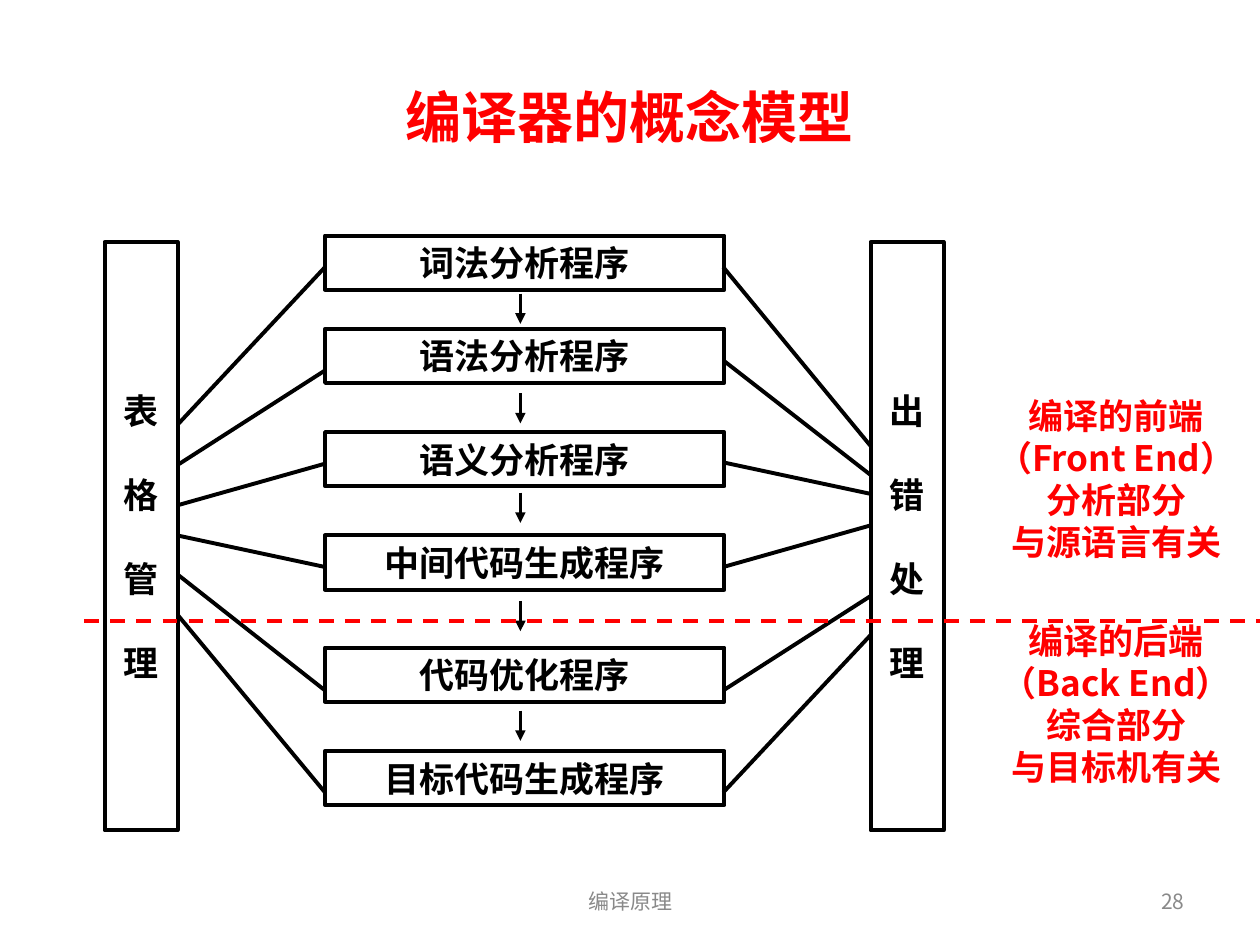
from pptx import Presentation
from pptx.dml.color import RGBColor
from pptx.enum.dml import MSO_LINE
from pptx.enum.shapes import MSO_CONNECTOR as Link, MSO_SHAPE as Shape
from pptx.enum.text import MSO_ANCHOR as Anchor, PP_ALIGN as Align
from pptx.oxml.ns import qn
from pptx.util import Inches, Pt
from lxml.etree import SubElement

FONT = "Noto Sans CJK SC"
RED = RGBColor(0xFF, 0, 0)
BLACK = RGBColor(0, 0, 0)
WHITE = RGBColor(0xFF, 0xFF, 0xFF)
GRAY = RGBColor(0x89, 0x89, 0x89)

LEFT, RIGHT = 2.58, 5.74
BAR_LEFT, BAR_RIGHT, BAR_WIDE = 0.83, 6.91, 0.58
STAGES = [
    ("词法分析程序", 1.87, (2.12, 3.37), (2.12, 3.54)),
    ("语法分析程序", 2.61, (2.94, 3.69), (2.86, 3.77)),
    ("语义分析程序", 3.43, (3.68, 4.01), (3.67, 3.92)),
    ("中间代码生成程序", 4.25, (4.5, 4.25), (4.5, 4.17)),
    ("代码优化程序", 5.14, (5.48, 4.56), (5.48, 4.73)),
    ("目标代码生成程序", 5.96, (6.29, 4.88), (6.29, 5.04)),
]
ARROWS = [2.33, 3.12, 3.91, 4.77, 5.64]
FRONT = ["编译的前端", "（Front End）", "分析部分", "与源语言有关"]
BACK = ["编译的后端", "（Back End）", "综合部分", "与目标机有关"]


def write(frame, lines, size, color, bold=True, align=Align.CENTER, gap=0):
    """Fill a text frame with one styled paragraph per line."""
    frame.word_wrap = True
    frame.vertical_anchor = Anchor.MIDDLE
    frame.text = "\n".join(lines)
    for i, para in enumerate(frame.paragraphs):
        para.alignment = align
        if len(lines) > 1:
            para.line_spacing = Pt(size * 1.2)
        if i and gap:
            para.space_before = Pt(gap)
        font = para.font
        font.name, font.size, font.bold = FONT, Pt(size), bold
        font.color.rgb = color
        for run in para.runs:
            SubElement(run.font._element, qn("a:ea"), typeface=FONT)


def add_box(slide, x, y, w, h, lines, gap=0):
    """Add a white box with a black outline."""
    box = slide.shapes.add_shape(Shape.RECTANGLE, *map(Inches, (x, y, w, h)))
    box.shadow.inherit = False
    box.fill.solid()
    box.fill.fore_color.rgb = WHITE
    box.line.color.rgb = BLACK
    box.line.width = Pt(2.25)
    write(box.text_frame, lines, 20, BLACK, gap=gap)


def add_note(slide, x, y, w, h, lines, *style, **more):
    """Add a text box."""
    note = slide.shapes.add_textbox(*map(Inches, (x, y, w, h)))
    write(note.text_frame, lines, *style, **more)


def add_line(slide, x1, y1, x2, y2, color=BLACK, width=2.25):
    """Add a straight line without a shadow."""
    ends = map(Inches, (x1, y1, x2, y2))
    link = slide.shapes.add_connector(Link.STRAIGHT, *ends)
    link.line.color.rgb = color
    link.line.width = Pt(width)
    SubElement(link._element.spPr, qn("a:effectLst"))
    return link.line


def add_arrow(slide, x, y):
    """Add a short arrow pointing down."""
    line = add_line(slide, x, y, x, y + 0.24, width=2)
    SubElement(line._get_or_add_ln(), qn("a:tailEnd"), type="triangle")


def add_title(slide, text):
    """Place and format the title."""
    title = slide.shapes.title
    title.left, title.top = Inches(0.5), Inches(0.3)
    title.width, title.height = Inches(9), Inches(1.25)
    write(title.text_frame, [text], 32, RED)


def main():
    """Build the slide and save it."""
    deck = Presentation()
    deck.slide_width, deck.slide_height = Inches(10), Inches(7.5)
    slide = deck.slides.add_slide(deck.slide_layouts[5])
    add_title(slide, "编译器的概念模型")
    for x, word in ((BAR_LEFT, "表格管理"), (BAR_RIGHT, "出错处理")):
        add_box(slide, x, 1.92, BAR_WIDE, 4.67, list(word), gap=24)
    for name, top, west, east in STAGES:
        add_box(slide, LEFT, top, 3.17, 0.43, [name])
        add_line(slide, LEFT, west[0], BAR_LEFT + BAR_WIDE, west[1])
        add_line(slide, RIGHT, east[0], BAR_RIGHT, east[1])
    for top in ARROWS:
        add_arrow(slide, 4.13, top)
    split = add_line(slide, 0.67, 4.93, 10.04, 4.93, RED, 2.13)
    split.dash_style = MSO_LINE.DASH
    for top, lines in ((3.51, FRONT), (5.29, BACK)):
        add_note(slide, 7.76, top, 2.2, 0.58, lines, 20, RED)
    add_note(slide, 3.42, 6.95, 3.17, 0.4, ["编译原理"], 12, GRAY, bold=False)
    add_note(slide, 7.17, 6.95, 2.33, 0.4, ["28"], 12, GRAY,
             bold=False, align=Align.RIGHT)
    deck.save("out.pptx")


if __name__ == "__main__":
    main()
